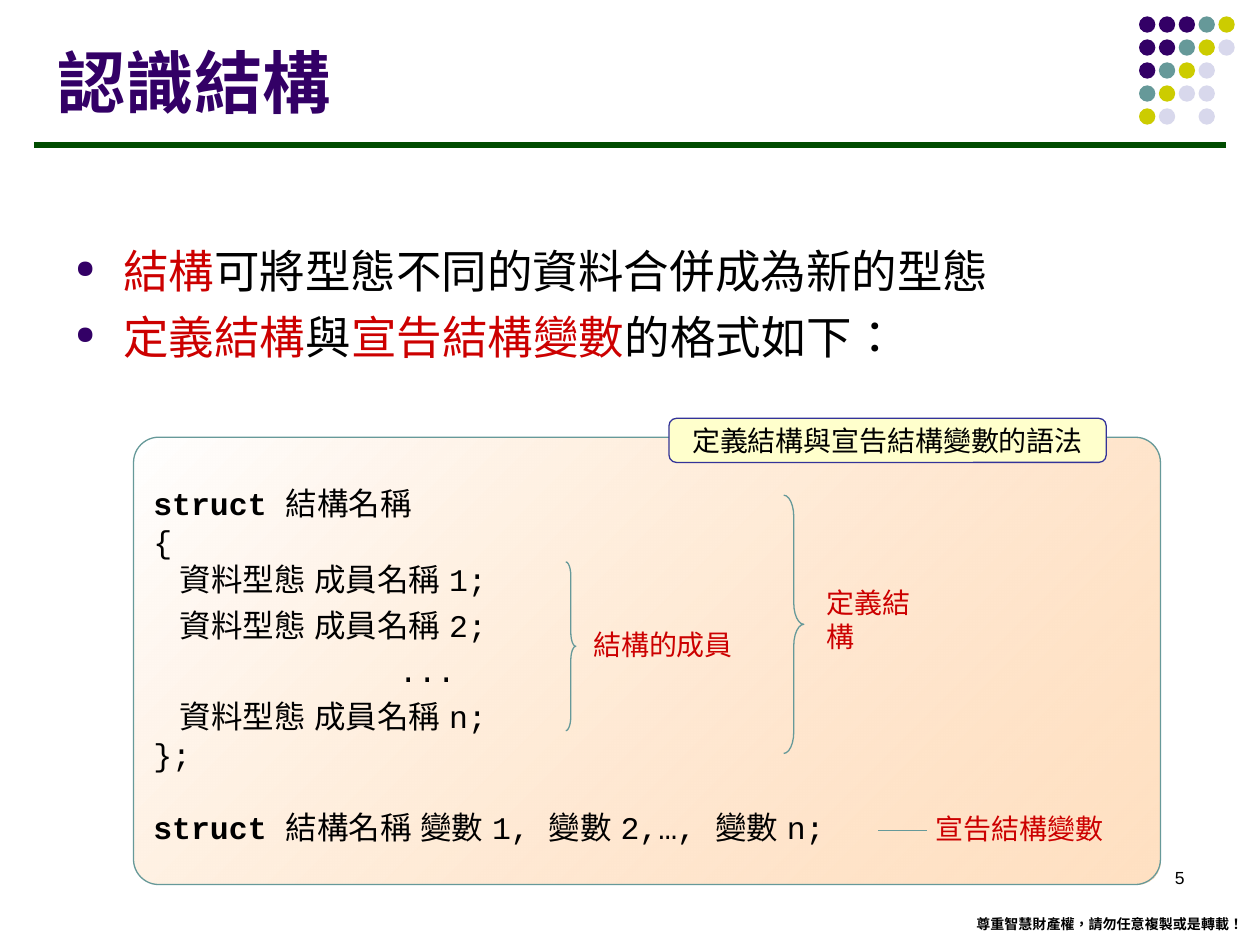
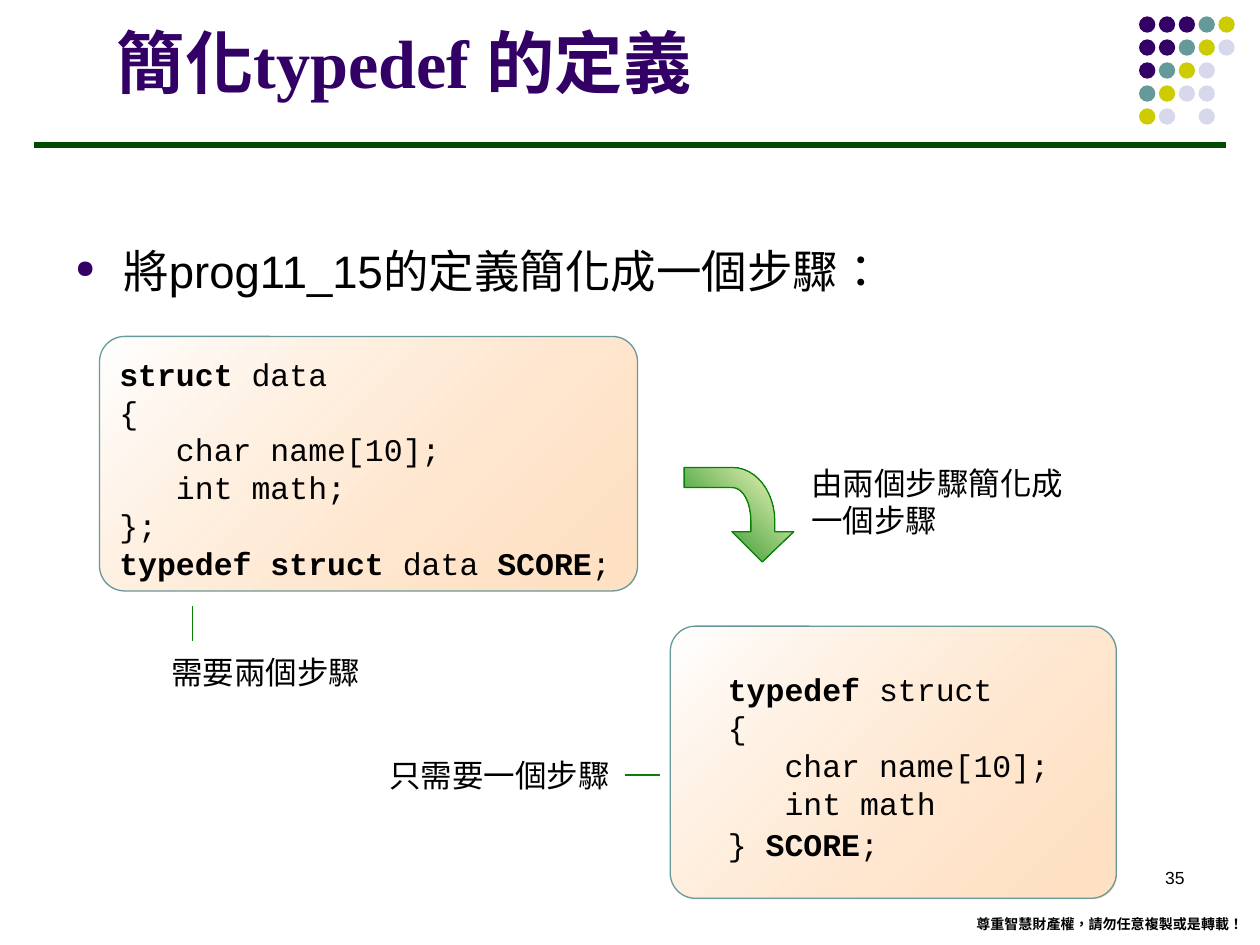
from lxml.etree import SubElement
from pptx import Presentation
from pptx.dml.color import RGBColor
from pptx.enum.shapes import MSO_CONNECTOR, MSO_SHAPE as Shape
from pptx.enum.text import MSO_ANCHOR as Anchor, MSO_AUTO_SIZE as AutoSize, PP_ALIGN as Align
from pptx.oxml.ns import qn
from pptx.util import Inches, Pt

COLORS = {
    "purple": "330066", "teal": "669999", "lime": "CCCC00", "lilac": "D8D8EC",
    "rule": "004C00", "green": "068006", "cream": "FFFFCC", "navy": "333399",
    "peach": "FFCC99", "white": "FFFFFF", "black": "000000", "red": "CC0000",
}
EAST_ASIAN_FONT, LANGUAGE = "Arial", "zh-TW"
SANS, MONO, SERIF = "Arial", "Courier New", "Times New Roman"
CJK, CJK_LABEL = "Noto Sans CJK SC", "Noto Sans CJK JP"

FOOTER = "尊重智慧財產權，請勿任意複製或是轉載！"
DOT_ROWS = ["PPPTY", "PPTYL", "PTYL", "TYLL", "YL L"]
DOT_COLORS = {"P": "purple", "T": "teal", "Y": "lime", "L": "lilac"}

# Asterisks enclose emphasis: bold in code, red in bullets.
# A code line is (text, points before, points after).
SLIDES = [
    {
        "title": ("認識結構", CJK, (0.36, 0.17, 8.25, 0.85)),
        "bullets": (["*結構*可將型態不同的資料合併成為新的型態",
                     "*定義結構*與*宣告結構變數*的格式如下："], CJK),
        "cards": [((1.06, 3.47, 8.15, 3.55), [
            ("*struct *結構名稱", 0, 0),
            ("{", 0, 0),
            ("   資料型態 成員名稱 1;", 0, 4.5),
            ("   資料型態 成員名稱 2;", 0, 4.5),
            (" " * 13 + "...", 0, 4.5),
            ("   資料型態 成員名稱 n;", 0, 0),
            ("};", 0, 0),
            ("*struct *結構名稱 變數 1, 變數 2,…, 變數 n;", 20.5, 0),
        ])],
        "tab": ("定義結構與宣告結構變數的語法", (5.31, 3.32, 3.47, 0.35)),
        "braces": [(4.49, 4.46, 0.08, 1.34), (6.22, 3.93, 0.16, 2.05)],
        "leaders": [((6.97, 6.59, 7.36, 6.59), "teal")],
        "callouts": [("結構的成員", (4.61, 4.93, 1.31, 0.37)),
                     ("定義結構", (6.46, 4.73, 1.08, 0.37)),
                     ("宣告結構變數", (7.33, 6.39, 1.53, 0.37))],
        "number": "5",
    },
    {
        "title": ("簡化typedef 的定義", SERIF, (0.83, 0, 8.25, 0.86)),
        "bullets": (["將prog11_15的定義簡化成一個步驟："], SANS),
        "cards": [
            ((5.32, 4.97, 3.54, 2.16), [
                ("*  typedef* struct", 0, 0),
                ("  {", 0, 0),
                ("     char name[10];", 0, 0),
                ("     int math", 0, 2.2),
                ("  } *SCORE*;", 0, 0),
            ]),
            ((0.79, 2.67, 4.27, 2.02), [
                ("*struct* data", 0, 0),
                ("{", 0, 0),
                ("   char name[10];", 0, 0),
                ("   int math;", 0, 0),
                ("};", 0, 0),
                ("*typedef struct* data *SCORE*;", 0, 0),
            ]),
        ],
        "turn_arrow": True,
        "leaders": [((1.53, 4.81, 1.53, 5.09), "green"),
                    ((4.96, 6.15, 5.24, 6.15), "green")],
        "notes": [(["由兩個步驟簡化成", "一個步驟"], (6.34, 3.63, 2.48, 0.7)),
                  (["需要兩個步驟"], (1.26, 5.13, 2.48, 0.4)),
                  (["只需要一個步驟"], (2.99, 5.95, 1.97, 0.4))],
        "number": "35",
    },
]
CARD_CORNER = 0.2


def rgb(name):
    return RGBColor.from_string(COLORS[name])


def style(run, size, font, color="black", bold=False):
    run.font.size, run.font.name, run.font.bold = Pt(size), font, bold
    run.font.color.rgb = rgb(color)
    run.font._element.set("lang", LANGUAGE)
    SubElement(run.font._element, qn("a:ea"), typeface=EAST_ASIAN_FONT)


def write(frame, lines, size, font, color="black", bold=False, emphasis=None, align=Align.LEFT):
    """Write one paragraph a line; emphasis overrides the style between asterisks."""
    plain = {"color": color, "bold": bold}
    for index, line in enumerate(lines):
        paragraph = frame.add_paragraph() if index else frame.paragraphs[0]
        paragraph.alignment = align
        for part, text in enumerate(line.split("*")):
            if text:
                run = paragraph.add_run()
                run.text = text
                style(run, size, font, **{**plain, **(emphasis if part % 2 else {})})


def add_text(slide, lines, box, size, font, anchor=Anchor.TOP, wrap=True, **looks):
    frame = slide.shapes.add_textbox(*map(Inches, box)).text_frame
    frame.word_wrap, frame.vertical_anchor = wrap, anchor
    if not wrap:
        frame.auto_size = AutoSize.SHAPE_TO_FIT_TEXT
    write(frame, lines, size, font, **looks)
    return frame


def outline(shape, color):
    shape.shadow.inherit = False
    shape.line.color.rgb, shape.line.width = rgb(color), Pt(0.75)


def add_preset(slide, kind, box, fill=None, line=None):
    shape = slide.shapes.add_shape(kind, *map(Inches, box))
    shape.shadow.inherit = False
    if fill:
        shape.fill.solid()
        shape.fill.fore_color.rgb = rgb(fill)
    else:
        shape.fill.background()
    if line:
        outline(shape, line)
    else:
        shape.line.fill.background()
    return shape


def shade(shape, start, end, angle, end_alpha=100):
    shape.fill.gradient()
    shape.fill.gradient_angle = angle
    for stop, position, color in zip(shape.fill.gradient_stops, (0, 1), (start, end)):
        stop.position, stop.color.rgb = position, rgb(color)
    end_color = shape._element.spPr.findall(".//" + qn("a:gs") + "/" + qn("a:srgbClr"))[-1]
    SubElement(end_color, qn("a:alpha"), val=str(end_alpha * 1000))


def add_line(slide, ends, color, width=0.75):
    line = slide.shapes.add_connector(MSO_CONNECTOR.STRAIGHT, *map(Inches, ends))
    line.line.color.rgb, line.line.width = rgb(color), Pt(width)
    SubElement(line._element.spPr, qn("a:effectLst"))


def add_frame(slide, number):
    """Draw the dots, rule, footer and slide number shared by all slides."""
    step_x, step_y = (9.67 - 9.04) / 4, (0.86 - 0.13) / 4
    for row, codes in enumerate(DOT_ROWS):
        for column, code in enumerate(codes):
            if code in DOT_COLORS:
                box = (9.04 + column * step_x, 0.13 + row * step_y, 0.13, 0.13)
                add_preset(slide, Shape.OVAL, box, DOT_COLORS[code])
    add_line(slide, (0.27, 1.15, 9.73, 1.15), "rule", 3)
    add_text(slide, [FOOTER], (7.65, 7.22, 2.32, 0.24), 8, SANS, wrap=False, bold=True)
    add_text(slide, [number], (7.17, 6.83, 2.33, 0.5), 10, SANS, align=Align.RIGHT)


def add_bullets(slide, lines, font):
    frame = add_text(slide, lines, (0.5, 1.88, 9, 1.32), 26, font, emphasis={"color": "red"})
    for index, paragraph in enumerate(frame.paragraphs):
        indent = Inches(0.38)
        props = paragraph._p.get_or_add_pPr()
        props.set("marL", str(indent))
        props.set("indent", str(-indent))
        if index:
            paragraph.space_before = Pt(6.5)
        bullet_color = SubElement(props, qn("a:buClr"))
        SubElement(bullet_color, qn("a:srgbClr"), val=COLORS["purple"])
        SubElement(props, qn("a:buSzPct"), val="55000")
        SubElement(props, qn("a:buChar"), char="●")


def add_card(slide, box, code):
    card = add_preset(slide, Shape.ROUNDED_RECTANGLE, box, line="teal")
    card.adjustments[0] = CARD_CORNER / min(box[2:])
    shade(card, "white", "peach", 315, 59)
    frame = card.text_frame
    frame.word_wrap, frame.vertical_anchor = True, Anchor.MIDDLE
    frame.margin_top, frame.margin_right = Inches(0.12), 0
    write(frame, [text for text, _, _ in code], 18, MONO, emphasis={"bold": True})
    for paragraph, (_, before, after) in zip(frame.paragraphs, code):
        paragraph.space_before, paragraph.space_after = Pt(before), Pt(after)


def add_tab(slide, text, box):
    tab = add_preset(slide, Shape.ROUNDED_RECTANGLE, box, "cream", "navy")
    tab.text_frame.word_wrap = False
    tab.text_frame.vertical_anchor = Anchor.MIDDLE
    write(tab.text_frame, [text], 16, CJK_LABEL, align=Align.CENTER)


def add_brace(slide, box):
    brace = add_preset(slide, Shape.RIGHT_BRACE, box, line="teal")
    brace.adjustments[0] = box[3] / 12 / box[2]


def curve(*controls, steps=12):
    """Points along a cubic Bezier curve."""
    def point(t):
        weights = ((1 - t) ** 3, 3 * t * (1 - t) ** 2, 3 * t * t * (1 - t), t ** 3)
        return tuple(sum(w * c[axis] for w, c in zip(weights, controls)) for axis in (0, 1))
    return [point(step / steps) for step in range(steps + 1)]


def add_turn_arrow(slide):
    tip = (6.05, 4.46)
    outer = curve((6.15, 4.14), (6.15, 3.9), (6, 3.71), (5.81, 3.71))
    inner = curve((5.81, 3.87), (5.9, 3.87), (5.96, 3.99), (5.96, 4.14))
    points = [tip, (6.3, 4.22), (6.15, 4.22), *outer, (5.43, 3.71), (5.43, 3.87),
              *inner, (5.96, 4.22), (5.81, 4.22)]
    # The builder rounds coordinates to whole units, so they are given in EMU.
    start, *rest = [(Inches(x), Inches(y)) for x, y in points]
    builder = slide.shapes.build_freeform(*start)
    builder.add_line_segments(rest, close=True)
    arrow = builder.convert_to_shape()
    outline(arrow, "green")
    shade(arrow, "green", "cream", 45)


def build_slide(deck, content):
    slide = deck.slides.add_slide(deck.slide_layouts[6])
    add_frame(slide, content["number"])
    title, font, box = content["title"]
    add_text(slide, [title], box, 39, font, Anchor.BOTTOM, color="purple", bold=True)
    add_bullets(slide, *content["bullets"])
    for box, code in content["cards"]:
        add_card(slide, box, code)
    if "tab" in content:
        add_tab(slide, *content["tab"])
    for box in content.get("braces", []):
        add_brace(slide, box)
    if content.get("turn_arrow"):
        add_turn_arrow(slide)
    for ends, color in content["leaders"]:
        add_line(slide, ends, color)
    for text, box in content.get("callouts", []):
        add_text(slide, [text], box, 16, SANS, Anchor.MIDDLE, wrap=False, color="red")
    for lines, box in content.get("notes", []):
        add_text(slide, lines, box, 18, SANS)


def main():
    deck = Presentation()
    deck.slide_width, deck.slide_height = Inches(10), Inches(7.5)
    for content in SLIDES:
        build_slide(deck, content)
    deck.save("out.pptx")


if __name__ == "__main__":
    main()
